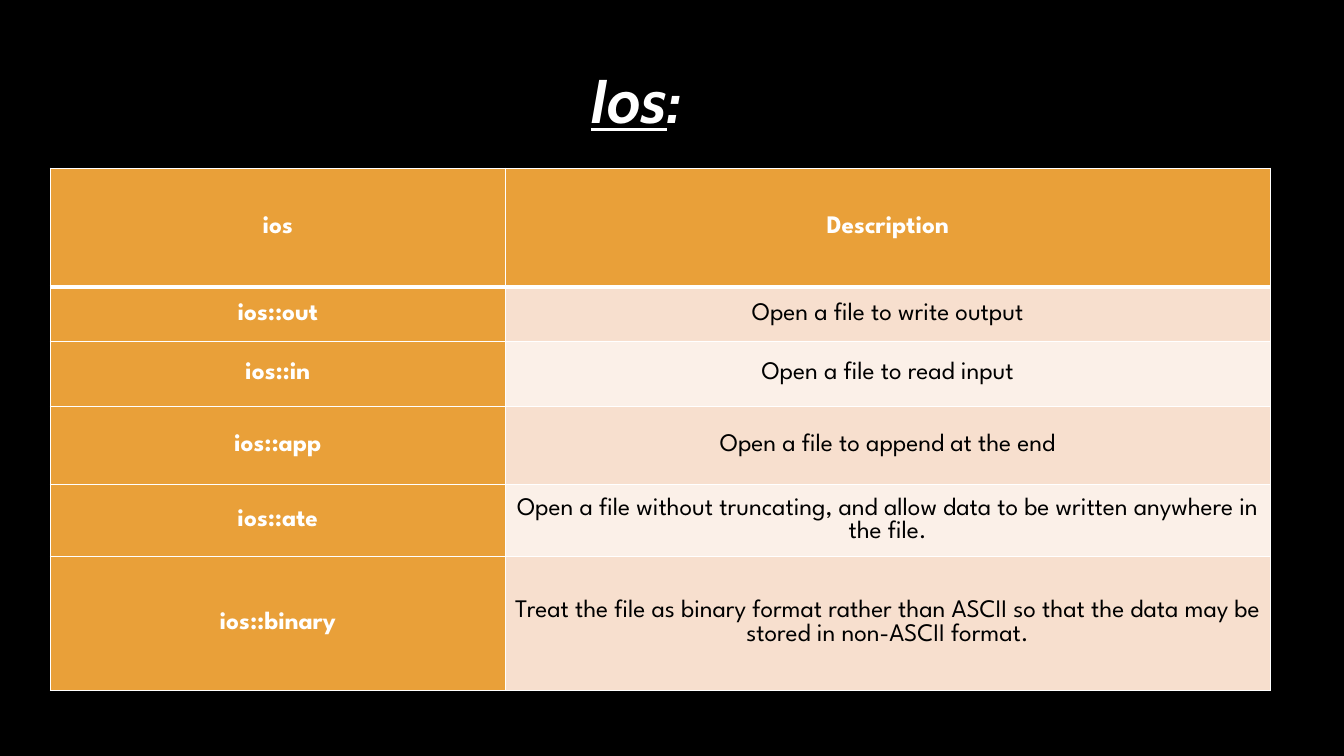
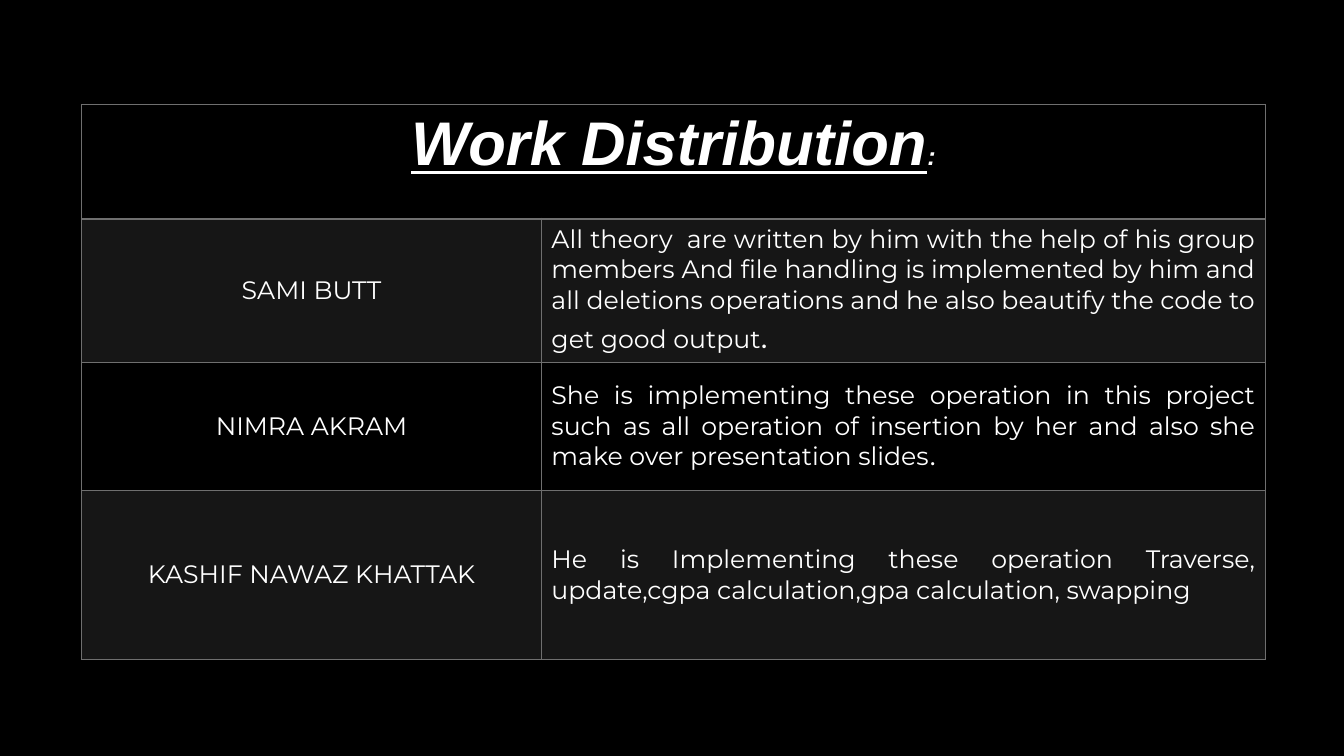
"""Build two dark slides: file open modes and work distribution."""
from lxml.etree import SubElement
from pptx import Presentation
from pptx.dml.color import RGBColor
from pptx.enum.text import MSO_ANCHOR as Anchor, MSO_AUTO_SIZE as AutoSize, PP_ALIGN as Align
from pptx.oxml import parse_xml
from pptx.oxml.ns import nsdecls, qn
from pptx.util import Inches, Pt

BLACK = RGBColor(0x00, 0x00, 0x00)
WHITE = RGBColor(0xFF, 0xFF, 0xFF)
ORANGE = RGBColor(0xE9, 0xA0, 0x39)
PEACH = RGBColor(0xF7, 0xDF, 0xCE)
CREAM = RGBColor(0xFB, 0xF0, 0xE8)
GRAY = RGBColor(0x6F, 0x6F, 0x6F)

TITLE_ONLY, BLANK = 5, 6
TITLE_SIZE, TEXT_SIZE = 44, 18
SPARTAN, MONTSERRAT = "League Spartan", "Montserrat"

MODES = [
    ("ios", "Description"),
    ("ios::out", "Open a file to write output"),
    ("ios::in", "Open a file to read input"),
    ("ios::app", "Open a file to append at the end"),
    ("ios::ate", "Open a file without truncating, and allow data to be written "
                 "anywhere in the file."),
    ("ios::binary", "Treat the file as binary format rather than ASCII so that the "
                    "data may be stored in non-ASCII format."),
]

WORK = [
    ("SAMI BUTT",
     "All theory  are written by him with the help of his group members And file "
     "handling is implemented by him and all deletions operations and he also "
     "beautify the code to get good output", (".", MONTSERRAT, 24)),
    ("NIMRA AKRAM",
     "She is implementing these operation in this project such as all operation of "
     "insertion by her and also she make over presentation slides",
     (".", SPARTAN, TEXT_SIZE)),
    ("KASHIF NAWAZ KHATTAK",
     "He is Implementing these operation Traverse, update,cgpa calculation,"
     "gpa calculation, swapping", None),
]


def add_span(para, text, face, size=TEXT_SIZE, color=WHITE, bold=False,
             italic=False, underline=False):
    """Append one formatted run to a paragraph."""
    span = para.add_run()
    span.text = text
    font = span.font
    font.name, font.size = face, Pt(size)
    font.bold, font.italic, font.underline = bold, italic, underline
    font.color.rgb = color


def add_heading(para, text, face, colon_size=TITLE_SIZE):
    """Write an underlined heading followed by a plain colon."""
    add_span(para, text, face, TITLE_SIZE, bold=True, italic=True, underline=True)
    add_span(para, ":", face, colon_size, bold=True, italic=True)


def set_fill(cell, color=None, opacity=100):
    """Fill a cell with a colour, or leave it clear."""
    if color is None:
        cell.fill.background()
        return
    cell.fill.solid()
    cell.fill.fore_color.rgb = color
    if opacity < 100:
        tone = cell._tc.tcPr.find(qn("a:solidFill"))[0]
        SubElement(tone, qn("a:alpha"), val=str(opacity * 1000))


def set_borders(table, color, header_width):
    """Draw thin cell borders with a heavier rule below the header."""
    for row_index, row in enumerate(table.rows):
        widths = {"L": 1, "R": 1,
                  "T": header_width if row_index == 1 else 1,
                  "B": header_width if row_index == 0 else 1}
        for cell in row.cells:
            properties = cell._tc.get_or_add_tcPr()
            for place, (side, width) in enumerate(widths.items()):
                properties.insert(place, parse_xml(
                    f'<a:ln{side} {nsdecls("a")} w="{Pt(width)}"><a:solidFill>'
                    f'<a:srgbClr val="{color}"/></a:solidFill></a:ln{side}>'))


def add_grid(page, left, top, widths, heights):
    """Add a table with the given column widths and row heights in inches."""
    frame = page.shapes.add_table(len(heights), len(widths), Inches(left), Inches(top),
                                  Inches(sum(widths)), Inches(sum(heights)))
    table = frame.table
    for column, width in zip(table.columns, widths):
        column.width = Inches(width)
    for row, height in zip(table.rows, heights):
        row.height = Inches(height)
    return table


def start_cell(cell, align, anchor=Anchor.MIDDLE):
    """Align a cell and return its first paragraph."""
    cell.vertical_anchor = anchor
    para = cell.text_frame.paragraphs[0]
    para.alignment = align
    return para


def add_modes_page(deck):
    """Add the slide listing the file open modes."""
    page = deck.slides.add_slide(deck.slide_layouts[TITLE_ONLY])
    title = page.shapes.title
    title.left, title.top = Inches(5.76), Inches(0.48)
    title.width, title.height = Inches(5.32), Inches(1)
    frame = title.text_frame
    frame.auto_size, frame.vertical_anchor = AutoSize.NONE, Anchor.MIDDLE
    para = frame.paragraphs[0]
    para.alignment = Align.LEFT
    add_heading(para, "Ios", "Cabin")

    table = add_grid(page, 0.5, 1.67, [4.51, 7.59], [1.18, 0.54, 0.64, 0.78, 0.71, 1.33])
    for row_index, texts in enumerate(MODES):
        for column_index, text in enumerate(texts):
            cell = table.cell(row_index, column_index)
            cell.margin_left = cell.margin_right = Inches(0.07)
            cell.margin_top = cell.margin_bottom = 0
            strong = row_index == 0 or column_index == 0
            band = PEACH if row_index % 2 else CREAM
            set_fill(cell, ORANGE if strong else band)
            add_span(start_cell(cell, Align.CENTER), text, SPARTAN,
                     color=WHITE if strong else BLACK, bold=strong)
    set_borders(table, WHITE, 3)


def add_work_page(deck):
    """Add the slide showing who did which work."""
    page = deck.slides.add_slide(deck.slide_layouts[BLANK])
    table = add_grid(page, 0.81, 1.04, [4.56, 7.18], [1.13, 1.4, 1.27, 1.68])
    header = table.cell(0, 0)
    header.merge(table.cell(0, 1))
    add_heading(start_cell(header, Align.CENTER, Anchor.TOP),
                "Work Distribution", "Arial", TEXT_SIZE)
    for cell in table.rows[0].cells:
        set_fill(cell)
    for row_index, (member, task, ending) in enumerate(WORK, 1):
        member_cell, task_cell = table.rows[row_index].cells
        for cell in (member_cell, task_cell):
            set_fill(cell, GRAY if row_index % 2 else None, 20)
        add_span(start_cell(member_cell, Align.CENTER), member, MONTSERRAT)
        para = start_cell(task_cell, Align.JUSTIFY)
        add_span(para, task, MONTSERRAT)
        if ending:
            add_span(para, *ending)
    set_borders(table, GRAY, 2)


def main():
    """Build and save the deck."""
    deck = Presentation()
    deck.slide_width, deck.slide_height = Inches(13.33), Inches(7.5)
    backdrop = deck.slide_master.background.fill
    backdrop.solid()
    backdrop.fore_color.rgb = BLACK
    add_modes_page(deck)
    add_work_page(deck)
    deck.save("out.pptx")


if __name__ == "__main__":
    main()
